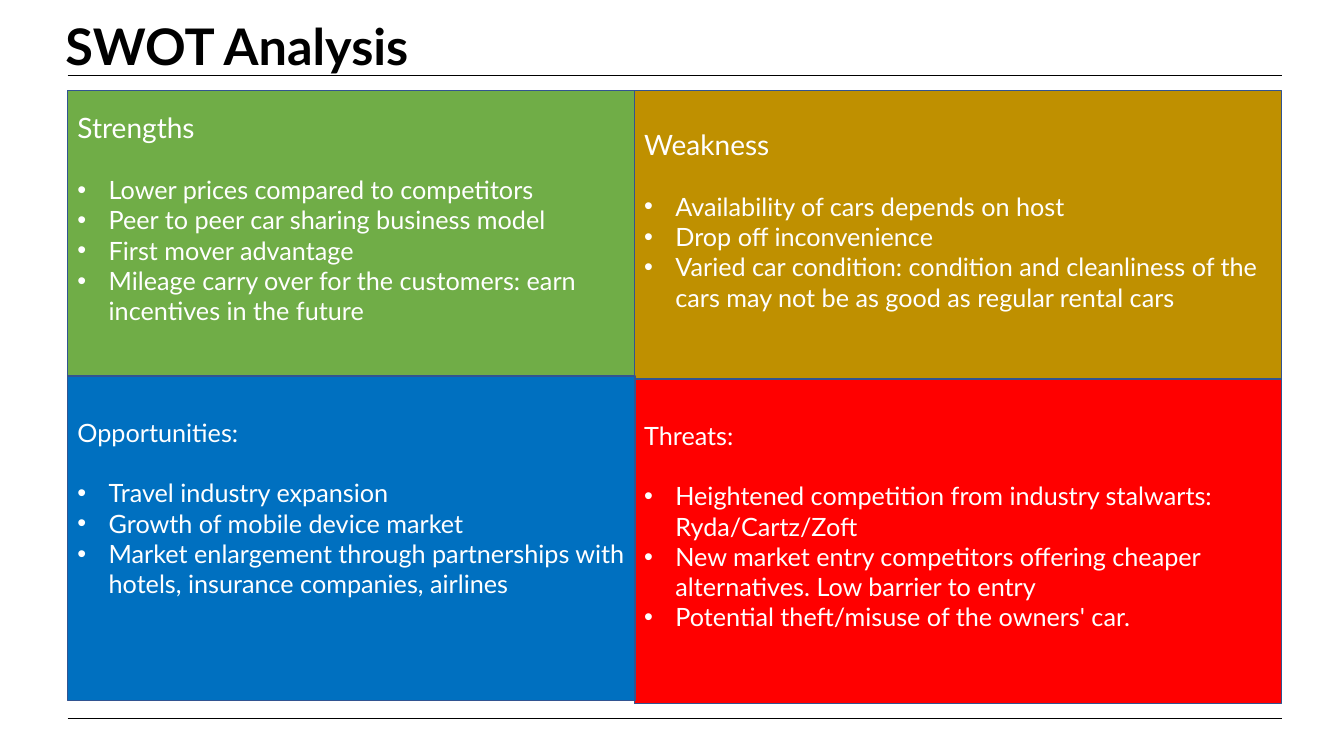
"""Build a SWOT analysis slide with four coloured quadrants."""
from lxml import etree
from pptx import Presentation, util as u
from pptx.dml.color import RGBColor
from pptx.enum import shapes, text
from pptx.oxml.ns import qn

BLACK = RGBColor(0, 0, 0)
WHITE = RGBColor(255, 255, 255)
EDGE = RGBColor(0x32, 0x54, 0x91)
GREEN = RGBColor(0x70, 0xAD, 0x47)
GOLD = RGBColor(0xBF, 0x90, 0x00)
RED = RGBColor(255, 0, 0)
BLUE = RGBColor(0, 0x70, 0xC0)

FONT = "Lato"
BODY = 18
LINE = 1.2 * BODY
LEFT, RIGHT, TOP = 0.67, 12.72, 0.9
RULES = (0.75, 7.13)
COLS = ((LEFT, 5.63), (6.29, 6.42))
UPPER = (2.83, 2.86)
LOWER = 3.22
TITLE = "SWOT Analysis"

# column, row, fill, heading, heading size, free lines below, points
QUADS = [
    (0, 0, GREEN, "Strengths", 20, 1, [
        "Lower prices compared to competitors",
        "Peer to peer car sharing business model",
        "First mover advantage",
        "Mileage carry over for the customers: earn incentives in the future",
    ]),
    (1, 0, GOLD, "Weakness", 20, 1, [
        "Availability of cars depends on host",
        "Drop off inconvenience",
        "Varied car condition: condition and cleanliness of the cars "
        "may not be as good as regular rental cars",
    ]),
    (1, 1, RED, "Threats:", 18, 1, [
        "Heightened competition from industry stalwarts: Ryda/Cartz/Zoft",
        "New market entry competitors offering cheaper alternatives. "
        "Low barrier to entry",
        "Potential theft/misuse of the owners' car.",
    ]),
    (0, 1, BLUE, "Opportunities:", 18, 2, [
        "Travel industry expansion",
        "Growth of mobile device market",
        "Market enlargement through partnerships with hotels, "
        "insurance companies, airlines",
    ]),
]


def write(para, words, size, color, bold=False):
    para.alignment = text.PP_ALIGN.LEFT
    run = para.add_run()
    run.text = words
    run.font.name = FONT
    run.font.size = u.Pt(size)
    run.font.bold = bold
    run.font.color.rgb = color


def bullet(para):
    props = para._p.get_or_add_pPr()
    hang = u.Inches(0.31)
    props.set("marL", str(hang))
    props.set("indent", str(-hang))
    etree.SubElement(props, qn("a:buFont")).set("typeface", "Arial")
    etree.SubElement(props, qn("a:buChar")).set("char", "•")


def head(slide):
    box = slide.shapes.add_textbox(
        u.Inches(0.55), u.Inches(0.22), u.Inches(6.11), u.Inches(0.54))
    frame = box.text_frame
    frame.word_wrap = True
    frame.vertical_anchor = text.MSO_ANCHOR.MIDDLE
    para = frame.paragraphs[0]
    para.line_spacing = 0.9
    write(para, TITLE, 36, BLACK, True)


def rule(slide, y):
    line = slide.shapes.add_connector(
        shapes.MSO_CONNECTOR.STRAIGHT,
        u.Inches(LEFT), u.Inches(y), u.Inches(RIGHT), u.Inches(y))
    line.line.color.rgb = BLACK
    line.line.width = u.Pt(0.75)
    etree.SubElement(line._element.spPr, qn("a:effectLst"))


def quad(slide, col, row, fill, name, size, free, points):
    x, wide = COLS[col]
    y = TOP + row * UPPER[col]
    high = LOWER if row else UPPER[col]
    box = slide.shapes.add_shape(
        shapes.MSO_SHAPE.RECTANGLE,
        u.Inches(x), u.Inches(y), u.Inches(wide), u.Inches(high))
    box.shadow.inherit = False
    box.fill.solid()
    box.fill.fore_color.rgb = fill
    box.line.color.rgb = EDGE
    box.line.width = u.Pt(1)
    frame = box.text_frame
    frame.word_wrap = True
    frame.vertical_anchor = text.MSO_ANCHOR.MIDDLE
    frame.margin_bottom = u.Inches(0.05) + u.Pt(free * LINE)
    title = frame.paragraphs[0]
    title.space_after = u.Pt(LINE)
    write(title, name, size, WHITE)
    for point in points:
        para = frame.add_paragraph()
        bullet(para)
        write(para, point, BODY, WHITE)


def main():
    deck = Presentation()
    deck.slide_width = u.Inches(13.33)
    deck.slide_height = u.Inches(7.5)
    slide = deck.slides.add_slide(deck.slide_layouts[6])
    head(slide)
    for y in RULES:
        rule(slide, y)
    for item in QUADS:
        quad(slide, *item)
    deck.save("out.pptx")


if __name__ == "__main__":
    main()
